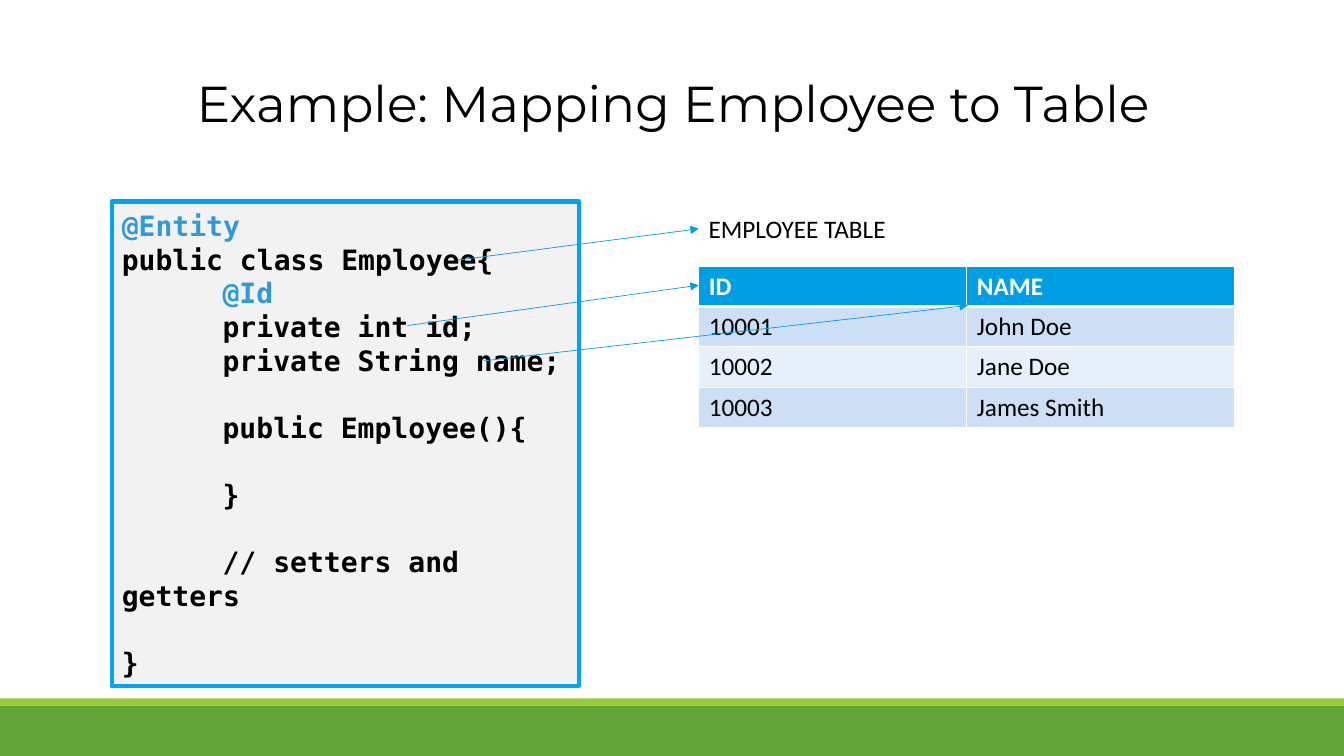
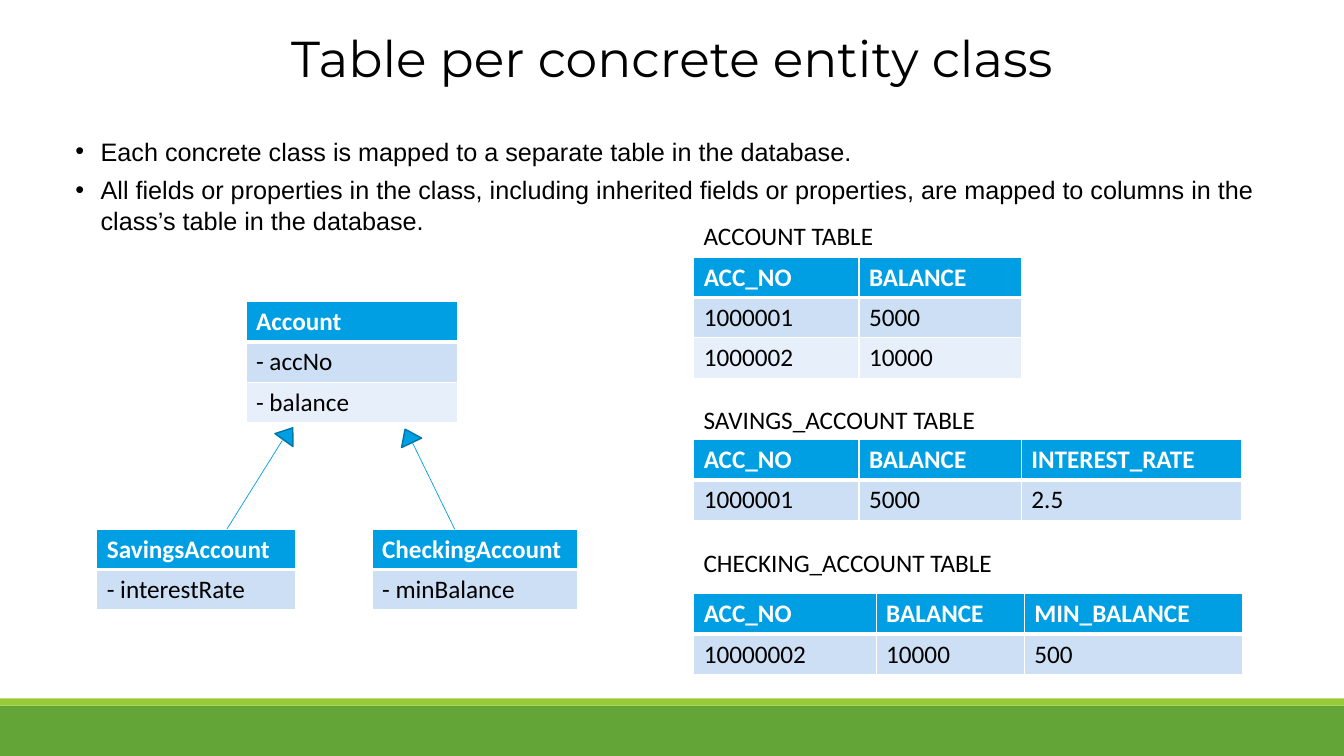
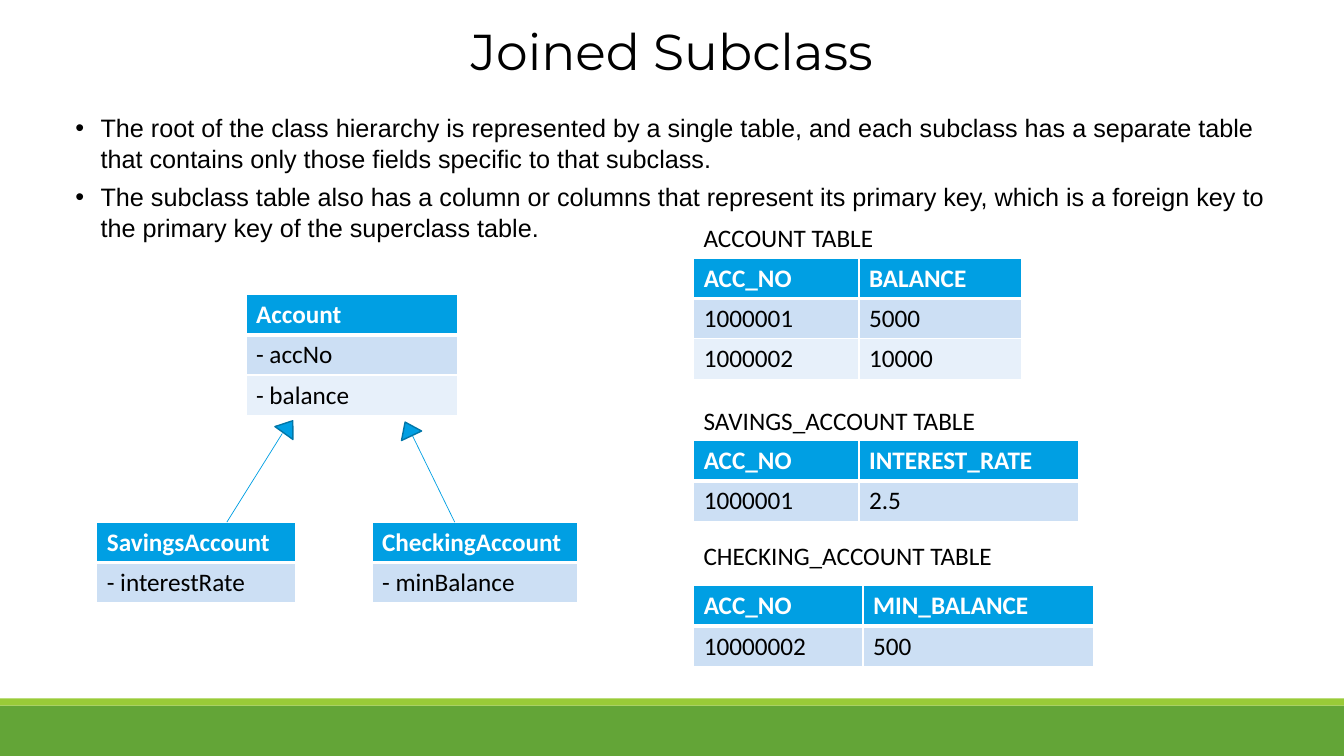
from dataclasses import dataclass

from lxml import etree
from pptx import Presentation
from pptx.dml.color import RGBColor
from pptx.enum.shapes import MSO_CONNECTOR, MSO_SHAPE
from pptx.enum.text import MSO_ANCHOR, PP_ALIGN
from pptx.oxml.ns import qn
from pptx.util import Inches, Pt


@dataclass(frozen=True)
class Theme:
    # Colours
    green: str = "63A537"
    lime: str = "99CB38"
    blue: str = "009FE3"
    dark_blue: str = "0076A8"
    code_border: str = "00A4F6"
    annotation: str = "3099D9"
    code_fill: str = "F2F2F2"
    band_odd: str = "CCDFF4"
    band_even: str = "E7F0FA"
    black: str = "000000"
    white: str = "FFFFFF"
    # Fonts and sizes
    title: tuple = ("Montserrat", 36, False)
    body: tuple = ("Arial", 18, False)
    label: tuple = ("Calibri", 18, False)
    header: tuple = ("Calibri", 18, True)
    code: tuple = ("DejaVu Sans Mono", 20, True)


THEME = Theme()
WIDTH, HEIGHT = 13.33, 7.5
ROW_HEIGHT = 0.4
TABLE_LEFT = 6.88

CODE = """@Entity
public class Employee{
\t@Id
\tprivate int id;
\tprivate String name;

\tpublic Employee(){

\t}

\t// setters and getters

}"""

ACCOUNT_ROWS = [["ACC_NO", "BALANCE"], ["1000001", "5000"], ["1000002", "10000"]]


# Formatting helpers
def rgb(color):
    return RGBColor.from_string(color)


def set_format(obj, values):
    for name, value in values.items():
        setattr(obj, name, value)


def box(left, top, width, height):
    return [Inches(v) for v in (left, top, width, height)]


def add_run(p, text, style, color=THEME.black):
    r = p.add_run()
    r.text = text
    name, size, bold = style
    set_format(r.font, {"name": name, "size": Pt(size), "bold": bold})
    r.font.color.rgb = rgb(color)


def add_bullet(p):
    pPr = p._p.get_or_add_pPr()
    set_format(p, {"space_after": Pt(6)})
    pPr.set("marL", str(Inches(0.25)))
    pPr.set("indent", str(-Inches(0.25)))
    etree.SubElement(pPr, qn("a:buFont"), typeface="Arial")
    etree.SubElement(pPr, qn("a:buChar"), char="•")


def add_tab_stop(p, position):
    tabs = etree.SubElement(p._p.get_or_add_pPr(), qn("a:tabLst"))
    etree.SubElement(tabs, qn("a:tab"), pos=str(Inches(position)), algn="l")


def set_borders(cell, bottom, top):
    tcPr = cell._tc.get_or_add_tcPr()
    sides = {"a:lnL": 1, "a:lnR": 1, "a:lnT": top, "a:lnB": bottom}
    for i, (tag, width) in enumerate(sides.items()):
        ln = etree.Element(qn(tag), w=str(Pt(width)))
        fill = etree.SubElement(ln, qn("a:solidFill"))
        etree.SubElement(fill, qn("a:srgbClr"), val=THEME.white)
        tcPr.insert(i, ln)


# Elements
def add_shape(s, kind, place, fill, line=None, line_width=1, rotation=0):
    sp = s.shapes.add_shape(kind, *box(*place))
    sp.shadow.inherit = False
    sp.rotation = rotation
    sp.fill.solid()
    sp.fill.fore_color.rgb = rgb(fill)
    if line:
        sp.line.color.rgb = rgb(line)
        sp.line.width = Pt(line_width)
    else:
        sp.line.fill.background()
    return sp


def add_text(s, place, paragraphs, style, align=PP_ALIGN.LEFT, bullets=False):
    sp = s.shapes.add_textbox(*box(*place))
    tf = sp.text_frame
    tf.word_wrap = True
    for i, text in enumerate(paragraphs):
        p = tf.add_paragraph() if i else tf.paragraphs[0]
        p.alignment = align
        if bullets:
            add_bullet(p)
        add_run(p, text, style)
    return sp


def add_label(s, left, top, width, text):
    return add_text(s, (left, top, width, 0.4), [text], THEME.label)


def add_code(s, place, code):
    sp = add_shape(s, MSO_SHAPE.RECTANGLE, place, THEME.code_fill, THEME.code_border, 3)
    tf = sp.text_frame
    set_format(tf, {"word_wrap": True, "vertical_anchor": MSO_ANCHOR.MIDDLE})
    for i, text in enumerate(code.split("\n")):
        p = tf.add_paragraph() if i else tf.paragraphs[0]
        p.alignment = PP_ALIGN.LEFT
        add_tab_stop(p, 1)
        if text:
            is_annotation = text.strip().startswith("@")
            add_run(p, text, THEME.code, THEME.annotation if is_annotation else THEME.black)
        else:
            # An empty code line keeps the height of the others
            name, size, _ = THEME.code
            end = etree.SubElement(p._p, qn("a:endParaRPr"), sz=str(size * 100), b="1")
            etree.SubElement(end, qn("a:latin"), typeface=name)


def add_grid(s, left, top, widths, rows):
    place = box(left, top, sum(widths), ROW_HEIGHT * len(rows))
    table = s.shapes.add_table(len(rows), len(widths), *place).table
    for column, width in zip(table.columns, widths):
        column.width = Inches(width)
    for i, texts in enumerate(rows):
        table.rows[i].height = Inches(ROW_HEIGHT)
        fill = THEME.blue if i == 0 else THEME.band_odd if i % 2 else THEME.band_even
        for j, text in enumerate(texts):
            cell = table.cell(i, j)
            cell.fill.solid()
            cell.fill.fore_color.rgb = rgb(fill)
            set_borders(cell, bottom=3 if i == 0 else 1, top=3 if i == 1 else 1)
            style, color = (THEME.label, THEME.black) if i else (THEME.header, THEME.white)
            add_run(cell.text_frame.paragraphs[0], text, style, color)


def add_line(s, start, end, arrow=False):
    points = [Inches(v) for v in (*start, *end)]
    line = s.shapes.add_connector(MSO_CONNECTOR.STRAIGHT, *points)
    line.line.color.rgb = rgb(THEME.blue)
    line.line.width = Pt(0.5)
    if arrow:
        etree.SubElement(line.line._get_or_add_ln(), qn("a:tailEnd"), type="triangle")
    etree.SubElement(line._element.spPr, qn("a:effectLst"))
    return line


# Shared parts
def add_slide(prs, title, left, top):
    s = prs.slides.add_slide(prs.slide_layouts[6])
    add_shape(s, MSO_SHAPE.RECTANGLE, (0, 7, WIDTH, 0.5), THEME.green)
    add_shape(s, MSO_SHAPE.RECTANGLE, (0, 6.93, WIDTH, 0.07), THEME.lime)
    add_text(s, (left, top, 12.03, 1.22), [title], THEME.title, PP_ALIGN.CENTER)
    return s


def add_hierarchy(s, top):
    child_top = top + 2.26
    add_grid(s, 2.44, top, [2.1], [["Account"], ["- accNo"], ["- balance"]])
    add_grid(s, 3.69, child_top, [2.04], [["CheckingAccount"], ["- minBalance"]])
    add_grid(s, 0.96, child_top, [1.97], [["SavingsAccount"], ["- interestRate"]])
    # Inheritance arrows: line start, line end, head corner, head rotation
    for start_x, end_x, end_dy, head_x, head_dy, rotation in (
        (2.25, 2.8, 1.38, 2.75, 1.24, 35.6),
        (4.51, 4.09, 1.4, 3.94, 1.26, 334.7),
    ):
        add_line(s, (start_x, child_top), (end_x, top + end_dy))
        head = (head_x, top + head_dy, 0.22, 0.15)
        add_shape(s, MSO_SHAPE.ISOSCELES_TRIANGLE, head, THEME.blue, THEME.dark_blue, 1, rotation)


def add_inheritance_slide(prs, title, title_top, body, bullets, class_top, tables):
    s = add_slide(prs, title, 0.65, title_top)
    body_top, body_height = body
    add_text(s, (0.65, body_top, 12.03, body_height), bullets, THEME.body, bullets=True)
    add_hierarchy(s, class_top)
    for name, label_top, table_top, widths, rows in tables:
        add_grid(s, TABLE_LEFT, table_top, widths, rows)
        add_label(s, TABLE_LEFT, label_top, 3.93, name)


# Slides
def add_mapping_slide(prs):
    s = add_slide(prs, "Example: Mapping Employee to Table", 0.66, 0.67)
    add_code(s, (1.11, 2, 4.63, 4.81), CODE)
    add_grid(s, 6.93, 2.64, [2.66, 2.66], [
        ["ID", "NAME"],
        ["10001", "John Doe"],
        ["10002", "Jane Doe"],
        ["10003", "James Smith"],
    ])
    label = add_label(s, 6.93, 2.07, 2.82, "EMPLOYEE TABLE")
    class_arrow = add_line(s, (4.54, 2.58), (6.93, 2.27), arrow=True)
    class_arrow.end_connect(label, 1)
    add_line(s, (4.04, 3.23), (6.93, 2.83), arrow=True)
    add_line(s, (4.8, 3.58), (9.6, 3.03), arrow=True)


def add_concrete_slide(prs):
    add_inheritance_slide(
        prs, "Table per concrete entity class", 0.22, (1.3, 5.11),
        [
            "Each concrete class is mapped to a separate table in the database.",
            "All fields or properties in the class, including inherited fields or properties, "
            "are mapped to columns in the class’s table in the database.",
        ],
        2.99,
        [
            ("SAVINGS_ACCOUNT TABLE", 3.96, 4.36, [1.64, 1.61, 2.18],
             [["ACC_NO", "BALANCE", "INTEREST_RATE"], ["1000001", "5000", "2.5"]]),
            ("CHECKING_ACCOUNT TABLE", 5.38, 5.89, [1.81, 1.47, 2.16],
             [["ACC_NO", "BALANCE", "MIN_BALANCE"], ["10000002", "10000", "500"]]),
            ("ACCOUNT TABLE", 2.14, 2.55, [1.64, 1.61], ACCOUNT_ROWS),
        ],
    )


def add_joined_slide(prs):
    add_inheritance_slide(
        prs, "Joined Subclass", 0.15, (1.07, 5.27),
        [
            "The root of the class hierarchy is represented by a single table, and each "
            "subclass has a separate table that contains only those fields specific to "
            "that subclass.",
            "The subclass table also has a column or columns that represent its primary "
            "key, which is a foreign key to the primary key of the superclass table.",
        ],
        2.92,
        [
            ("SAVINGS_ACCOUNT TABLE", 3.97, 4.37, [1.64, 2.18],
             [["ACC_NO", "INTEREST_RATE"], ["1000001", "2.5"]]),
            ("CHECKING_ACCOUNT TABLE", 5.31, 5.81, [1.68, 2.29],
             [["ACC_NO", "MIN_BALANCE"], ["10000002", "500"]]),
            ("ACCOUNT TABLE", 2.16, 2.56, [1.64, 1.61], ACCOUNT_ROWS),
        ],
    )


def main():
    prs = Presentation()
    set_format(prs, {"slide_width": Inches(WIDTH), "slide_height": Inches(HEIGHT)})
    add_mapping_slide(prs)
    add_concrete_slide(prs)
    add_joined_slide(prs)
    prs.save("out.pptx")


if __name__ == "__main__":
    main()
